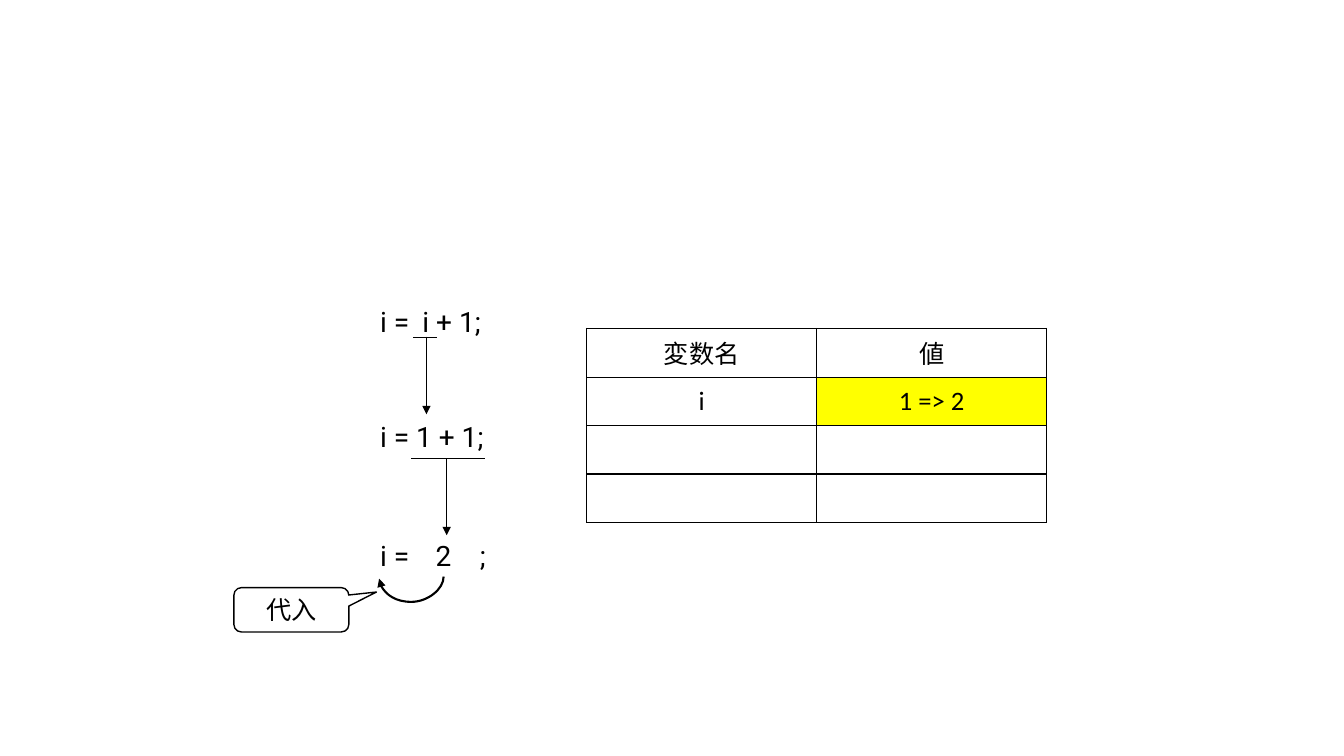
from lxml import etree
from pptx import Presentation
from pptx.dml.color import RGBColor
from pptx.enum.shapes import MSO_CONNECTOR, MSO_SHAPE
from pptx.enum.text import MSO_ANCHOR, PP_ALIGN
from pptx.oxml.ns import qn
from pptx.util import Emu, Pt

CENTER, LEFT = PP_ALIGN.CENTER, PP_ALIGN.LEFT
MIDDLE = MSO_ANCHOR.MIDDLE
STRAIGHT, CURVE = MSO_CONNECTOR.STRAIGHT, MSO_CONNECTOR.CURVE
CALLOUT = MSO_SHAPE.ROUNDED_RECTANGULAR_CALLOUT
SCALE = 9144


def px(length):
    return Emu(length * SCALE)


def color(value):
    return RGBColor.from_string(value)


def child(parent, tag, **attributes):
    return etree.SubElement(parent, qn(tag), attributes)


def write(frame, text, font="Roboto", size=20, ink="000000", align=CENTER, tabs=()):
    para = frame.paragraphs[0]
    para.alignment = align
    if tabs:
        stops = child(para._p.get_or_add_pPr(), "a:tabLst")
        for stop in tabs:
            child(stops, "a:tab", pos=str(px(stop)), algn="l")
    span = para.add_run()
    span.text = text
    span.font.name = font
    span.font.size = Pt(size)
    span.font.color.rgb = color(ink)


class Sketch:
    """Draws elements on one slide in a shared style."""

    ink = "000000"
    paper = "FFFFFF"
    highlight = "FFFF00"

    def __init__(self, slide):
        self.shapes = slide.shapes

    def code(self, top, text, tabs=()):
        box = self.shapes.add_textbox(px(360), px(top), px(142), px(44))
        frame = box.text_frame
        frame.word_wrap = True
        frame.margin_left, frame.margin_right = px(17), px(0)
        write(frame, text, align=LEFT, tabs=tabs)

    def line(self, start, end, arrow=False, kind=STRAIGHT, width=1):
        connector = self.shapes.add_connector(kind, *map(px, start + end))
        connector.line.color.rgb = color(self.ink)
        connector.line.width = Pt(width)
        if arrow:
            child(connector.line._get_or_add_ln(), "a:tailEnd", type="triangle")
        child(connector._element.spPr, "a:effectLst")
        return connector

    def curve(self, left, top, width, height, bend):
        connector = self.line((left, top), (left + width, top + height), True, CURVE, 1.5)
        properties = connector._element.spPr
        properties.find(qn("a:xfrm")).set("rot", "5400000")
        geometry = properties.find(qn("a:prstGeom"))
        guides = geometry.find(qn("a:avLst"))
        if guides is None:
            guides = child(geometry, "a:avLst")
        child(guides, "a:gd", name="adj1", fmla=f"val {round(bend * 100000)}")

    def callout(self, left, top, width, height, text, tip):
        shape = self.shapes.add_shape(CALLOUT, *map(px, (left, top, width, height)))
        shape.shadow.inherit = False
        shape.fill.background()
        shape.line.color.rgb = color(self.ink)
        shape.line.width = Pt(1)
        for index, value in enumerate(tip):
            shape.adjustments[index] = value
        shape.text_frame.vertical_anchor = MIDDLE
        write(shape.text_frame, text, font="Arial", size=18)

    def borders(self, cell):
        properties = cell._tc.get_or_add_tcPr()
        for index, side in enumerate(("a:lnL", "a:lnR", "a:lnT", "a:lnB")):
            edge = etree.Element(qn(side), w=str(Pt(1)))
            child(child(edge, "a:solidFill"), "a:srgbClr", val=self.ink)
            properties.insert(index, edge)

    def table(self, left, top, column, row, rows, marked):
        count = len(rows[0])
        area = (left, top, column * count, row * len(rows))
        grid = self.shapes.add_table(len(rows), count, *map(px, area)).table
        grid.first_row = grid.horz_banding = False
        for r, texts in enumerate(rows):
            grid.rows[r].height = px(row)
            for c, text in enumerate(texts):
                cell = grid.cell(r, c)
                cell.vertical_anchor = MIDDLE
                cell.margin_left = cell.margin_right = px(11)
                cell.margin_top = cell.margin_bottom = px(6)
                cell.fill.solid()
                fill = self.highlight if (r, c) == marked else self.paper
                cell.fill.fore_color.rgb = color(fill)
                self.borders(cell)
                if text:
                    write(cell.text_frame, text, font="Calibri", size=19 if r else 18)


def main():
    deck = Presentation()
    deck.slide_width, deck.slide_height = px(1333), px(750)
    sketch = Sketch(deck.slides.add_slide(deck.slide_layouts[6]))

    variables = [("変数名", "値"), ("i", "1 => 2"), ("", ""), ("", "")]
    sketch.table(582, 326, 228, 48, variables, marked=(1, 1))

    sketch.code(297, "i =\ti + 1;", tabs=(42,))
    sketch.code(411, "i = 1 + 1;")
    sketch.code(529, "i =\t2\t;", tabs=(55, 99))

    sketch.line((410, 335), (433, 335))
    sketch.line((423, 334), (423, 411), arrow=True)
    sketch.line((408, 455), (481, 455))
    sketch.line((443, 455), (443, 531), arrow=True)

    sketch.callout(232, 583, 114, 44, "代入", tip=(0.74, -0.4, 0.17))
    sketch.curve(407, 541, 2, 64, bend=12.5)
    deck.save("out.pptx")


if __name__ == "__main__":
    main()
